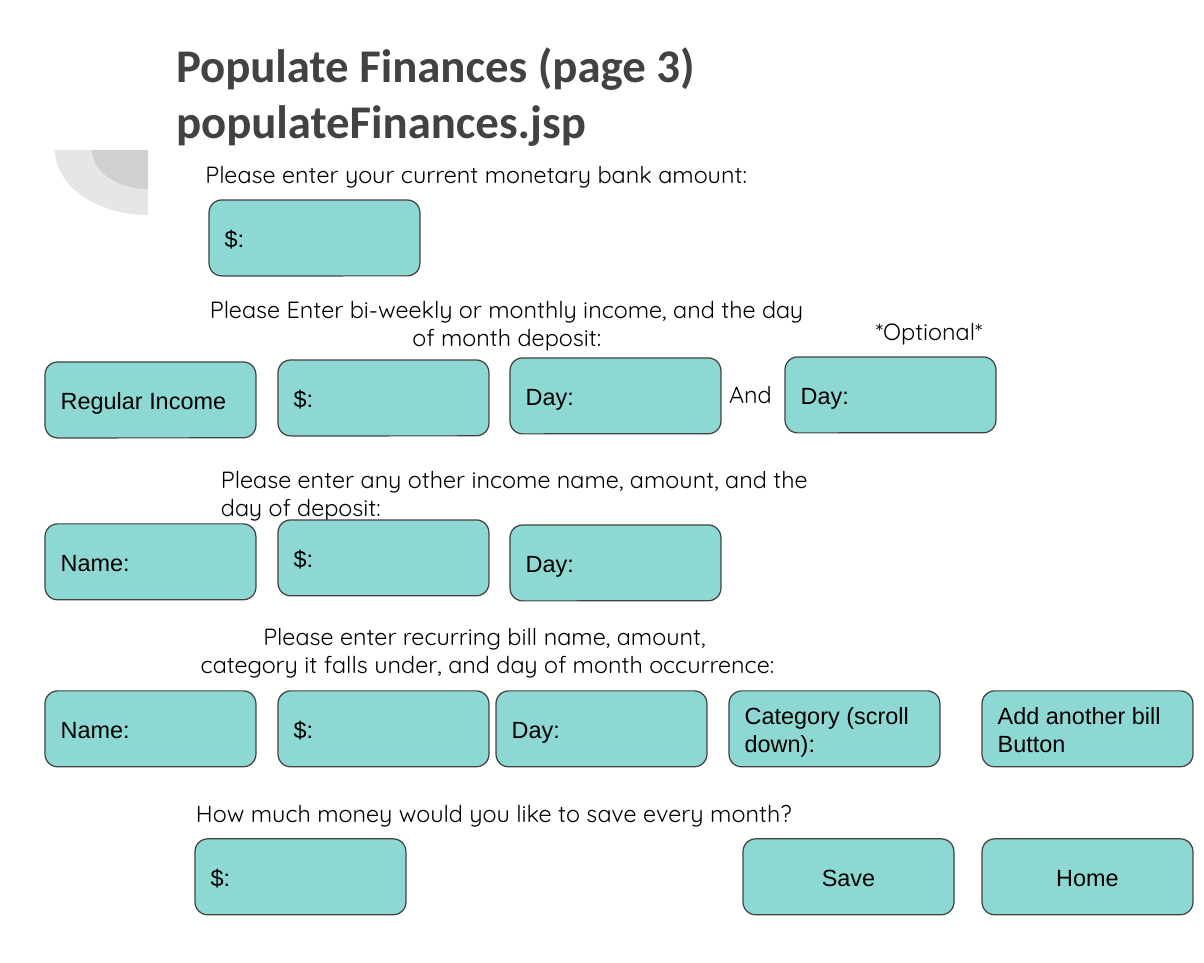
"""Build the form mock-up slide for populateFinances.jsp."""
import dataclasses

import lxml.etree
import pptx
import pptx.dml.color
import pptx.enum.shapes
import pptx.enum.text
import pptx.oxml.ns
import pptx.util

SHAPE = pptx.enum.shapes.MSO_SHAPE
ALIGN = pptx.enum.text.PP_ALIGN
ANCHOR = pptx.enum.text.MSO_ANCHOR
LEFT, MID = ALIGN.LEFT, ALIGN.CENTER


@dataclasses.dataclass(frozen=True)
class Theme:
    """Colours, fonts and type sizes of the slide."""
    ink: str = "424242"
    text: str = "000000"
    teal: str = "8DD8D3"
    head: str = "Calibri"
    label: str = "Arial"
    prompt: str = "Quicksand"
    big: int = 28
    small: int = 14
    rule: float = 0.75


class Page:
    """Draws each kind of element on the slide, in px."""
    SCALE = 914400 / 120.4
    INSET = 12
    WIDE, HIGH = 211, 76

    def __init__(self, slide, theme):
        self.slide = slide
        self.theme = theme

    def place(self, *spots):
        return [pptx.util.Emu(round(spot * self.SCALE)) for spot in spots]

    def tint(self, name):
        return pptx.dml.color.RGBColor.from_string(name)

    def letter(self, frame, lines, face, size, tone, align=LEFT,
               anchor=ANCHOR.TOP, bold=False):
        frame.word_wrap = True
        frame.auto_size = pptx.enum.text.MSO_AUTO_SIZE.NONE
        frame.vertical_anchor = anchor
        inset = self.place(self.INSET)[0]
        frame.margin_left = frame.margin_right = inset
        frame.margin_top = frame.margin_bottom = inset
        for index, line in enumerate(lines):
            para = frame.add_paragraph() if index else frame.paragraphs[0]
            para.alignment = align
            run = para.add_run()
            run.text = line
            run.font.name = face
            run.font.size = pptx.util.Pt(size)
            run.font.bold = bold
            run.font.color.rgb = self.tint(tone)

    def title(self, left, top, wide, high, *lines):
        head = self.slide.shapes.title
        head.left, head.top, head.width, head.height = self.place(
            left, top, wide, high)
        self.letter(head.text_frame, lines, self.theme.head, self.theme.big,
                    self.theme.ink, bold=True)

    def prompt(self, left, top, wide, high, align, *lines):
        box = self.slide.shapes.add_textbox(*self.place(left, top, wide, high))
        self.letter(box.text_frame, lines, self.theme.prompt, self.theme.small,
                    self.theme.text, align)

    def field(self, left, top, text, align=LEFT):
        box = self.slide.shapes.add_shape(
            SHAPE.ROUNDED_RECTANGLE,
            *self.place(left, top, self.WIDE, self.HIGH))
        box.shadow.inherit = False
        box.fill.solid()
        box.fill.fore_color.rgb = self.tint(self.theme.teal)
        box.line.color.rgb = self.tint(self.theme.ink)
        box.line.width = pptx.util.Pt(self.theme.rule)
        self.letter(box.text_frame, [text], self.theme.label, self.theme.small,
                    self.theme.text, align, ANCHOR.MIDDLE)

    def fan(self, x, y, across, down):
        pie = self.slide.shapes.add_shape(
            SHAPE.PIE, *self.place(x - across, y - down, 2 * across, 2 * down))
        pie.adjustments[0], pie.adjustments[1] = 54, 108
        pie.shadow.inherit = False
        pie.line.fill.background()
        pie.fill.solid()
        pie.fill.fore_color.rgb = self.tint(self.theme.ink)
        tone = pie.element.spPr.find(
            pptx.oxml.ns.qn("a:solidFill") + "/" + pptx.oxml.ns.qn("a:srgbClr"))
        lxml.etree.SubElement(tone, pptx.oxml.ns.qn("a:alpha"), val="13000")


def main():
    deck = pptx.Presentation()
    deck.slide_width = pptx.util.Inches(10)
    deck.slide_height = pptx.util.Inches(8)
    page = Page(deck.slides.add_slide(deck.slide_layouts[5]), Theme())

    for across, down in ((56, 39), (93, 65)):
        page.fan(148, 150, across, down)
    page.title(164, 24, 926, 187,
               "Populate Finances (page 3)", "populateFinances.jsp")

    prompts = (
        (178, 148, 597, 53, MID,
         "Please enter your current monetary bank amount:"),
        (197, 283, 620, 81, MID,
         "Please Enter bi-weekly or monthly income, and the day of month deposit:"),
        (864, 305, 194, 53, LEFT, "*Optional*"),
        (703, 368, 95, 53, MID, "And"),
        (209, 453, 635, 81, LEFT,
         "Please enter any other income name, amount, and the day of deposit:"),
        (178, 610, 620, 81, MID, "Please enter recurring bill name, amount, ",
         "category it falls under, and day of month occurrence:"),
        (184, 787, 655, 53, LEFT,
         "How much money would you like to save every month?"),
    )
    for item in prompts:
        page.prompt(*item)

    first, second, third, last = 45, 278, 510, 982
    fields = (
        (209, 200, "$:"),
        (first, 362, "Regular Income"),
        (second, 360, "$:"),
        (third, 358, "Day:"),
        (785, 357, "Day:"),
        (first, 524, "Name:"),
        (second, 520, "$:"),
        (third, 525, "Day:"),
        (first, 691, "Name:"),
        (second, 691, "$:"),
        (496, 691, "Day:"),
        (729, 691, "Category (scroll down):"),
        (last, 691, "Add another bill Button"),
        (195, 839, "$:"),
        (743, 839, "Save", MID),
        (last, 839, "Home", MID),
    )
    for item in fields:
        page.field(*item)

    deck.save("out.pptx")


if __name__ == "__main__":
    main()
